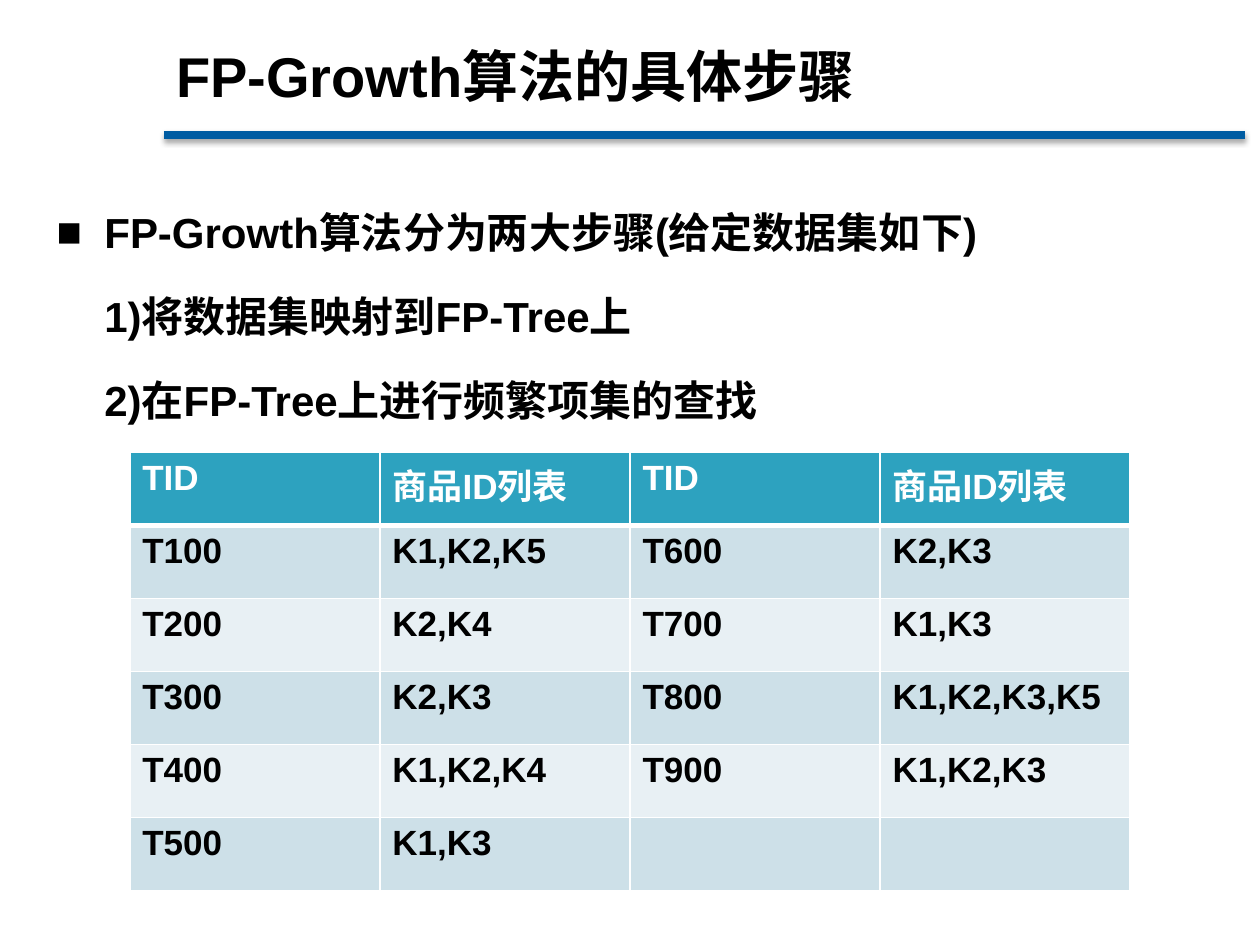
"""Builds the slide on the steps of the FP-Growth algorithm."""
from lxml import etree
from pptx import Presentation
from pptx.dml.color import RGBColor
from pptx.enum.shapes import MSO_CONNECTOR
from pptx.enum.text import MSO_ANCHOR
from pptx.oxml import parse_xml
from pptx.oxml.ns import qn
from pptx.util import Inches, Pt

STRAIGHT = MSO_CONNECTOR.STRAIGHT
MIDDLE = MSO_ANCHOR.MIDDLE
NS = 'xmlns:a="http://schemas.openxmlformats.org/drawingml/2006/main"'
THEME = {
    "font": "Arial", "title": 32, "body": 24, "table": 20,
    "ink": "000000", "white": "FFFFFF", "rule": "005CA2",
    "header": "2DA2BF", "bands": ("E8F0F4", "CDE0E8"),
}


def style(paragraph, size, color):
    for run in paragraph.runs:
        run.font.name = THEME["font"]
        run.font.size = Pt(size)
        run.font.bold = True
        run.font.color.rgb = RGBColor.from_string(color)


def add_border(cell, side, width):
    cell._tc.get_or_add_tcPr().append(parse_xml(
        f'<a:{side} {NS} w="{Pt(width)}"><a:solidFill>'
        f'<a:srgbClr val="{THEME["white"]}"/></a:solidFill></a:{side}>'))


prs = Presentation()
prs.slide_width, prs.slide_height = Inches(10), Inches(7.5)
slide = prs.slides.add_slide(prs.slide_layouts[6])

title_rule = slide.shapes.add_connector(
    STRAIGHT, Inches(1.3), Inches(1.07), Inches(9.88), Inches(1.07))
title_rule.line.color.rgb = RGBColor.from_string(THEME["rule"])
title_rule.line.width = Pt(4.5)
title_rule.element.spPr.append(parse_xml(
    f'<a:effectLst {NS}><a:outerShdw blurRad="{Pt(3.1)}" dist="{Pt(1.8)}" '
    f'dir="5400000" rotWithShape="0"><a:srgbClr val="{THEME["ink"]}">'
    '<a:alpha val="35000"/></a:srgbClr></a:outerShdw></a:effectLst>'))

title = slide.shapes.add_textbox(
    Inches(1.3), Inches(0.13), Inches(8.64), Inches(0.94)).text_frame
title.word_wrap = True
title.vertical_anchor = MIDDLE
title.text = "FP-Growth算法的具体步骤"
style(title.paragraphs[0], THEME["title"], THEME["ink"])

steps = slide.shapes.add_textbox(
    Inches(0.35), Inches(1.39), Inches(9.45), Inches(2.32)).text_frame
steps.word_wrap = True
steps.text = "\n".join([
    "FP-Growth算法分为两大步骤(给定数据集如下)".replace("(", "(").replace(")", ")"),
    "1)将数据集映射到FP-Tree上",
    "2)在FP-Tree上进行频繁项集的查找",
])
for index, step in enumerate(steps.paragraphs):
    style(step, THEME["body"], THEME["ink"])
    step.line_spacing = 1.5
    step.space_before = Pt(4.8)
    props = step._p.get_or_add_pPr()
    props.set("marL", str(Inches(0.38)))
    props.set("indent", str(0 if index else -Inches(0.38)))
    if index == 0:
        etree.SubElement(props, qn("a:buFont"), typeface=THEME["font"])
        etree.SubElement(props, qn("a:buChar"), char="■")

records = [
    ("TID", "商品ID列表", "TID", "商品ID列表"),
    ("T100", "K1,K2,K5", "T600", "K2,K3"),
    ("T200", "K2,K4", "T700", "K1,K3"),
    ("T300", "K2,K3", "T800", "K1,K2,K3,K5"),
    ("T400", "K1,K2,K4", "T900", "K1,K2,K3"),
    ("T500", "K1,K3", "", ""),
]
transactions = slide.shapes.add_table(
    len(records), len(records[0]),
    Inches(1.03), Inches(3.59), Inches(7.94), Inches(3.48)).table
for r, record in enumerate(records):
    fill = THEME["bands"][r % 2] if r else THEME["header"]
    ink = THEME["ink"] if r else THEME["white"]
    for c, value in enumerate(record):
        cell = transactions.cell(r, c)
        cell.text = value
        style(cell.text_frame.paragraphs[0], THEME["table"], ink)
        for side in ("lnL", "lnR", "lnT", "lnB"):
            under_header = (r, side) in ((0, "lnB"), (1, "lnT"))
            add_border(cell, side, 3 if under_header else 1)
        cell.fill.solid()
        cell.fill.fore_color.rgb = RGBColor.from_string(fill)

prs.save("out.pptx")
